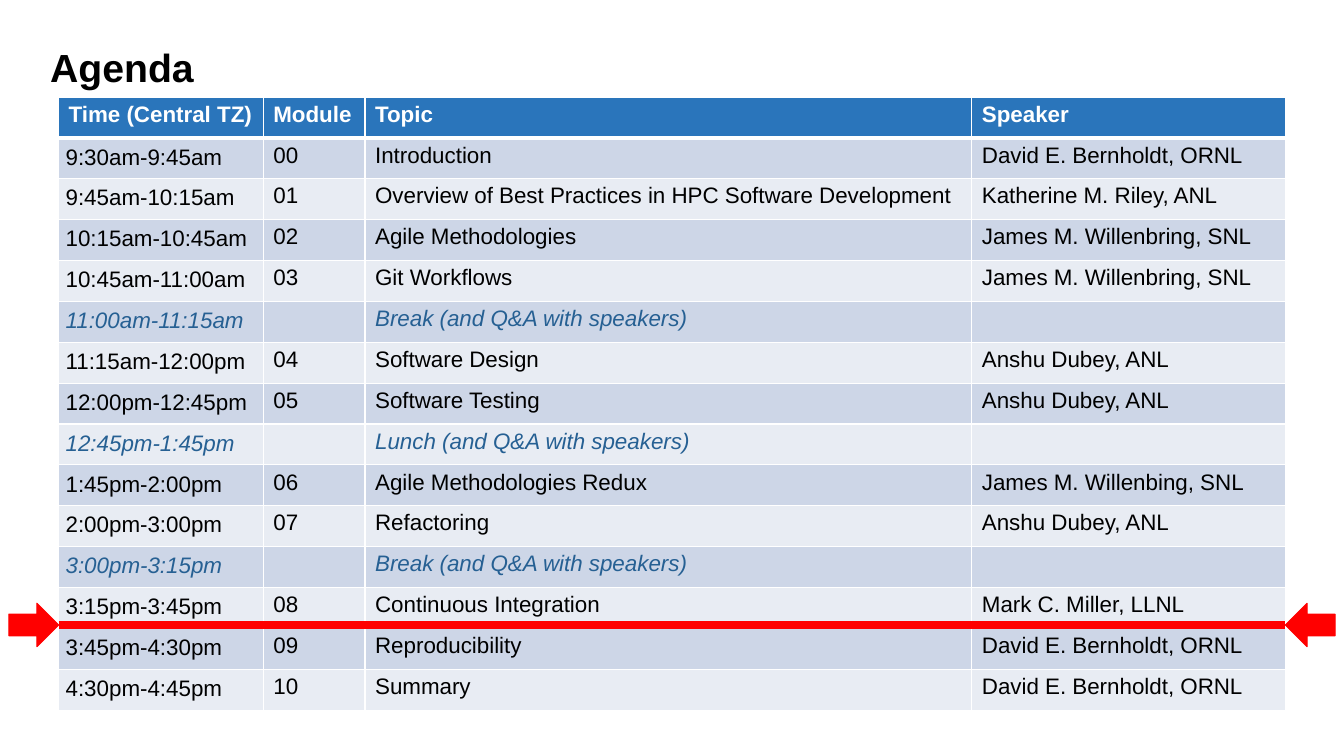
from lxml import etree
from pptx import Presentation
from pptx.dml.color import RGBColor
from pptx.enum.shapes import MSO_CONNECTOR, MSO_SHAPE
from pptx.oxml.ns import qn
from pptx.util import Pt

BLACK = RGBColor(0x00, 0x00, 0x00)
WHITE = RGBColor(0xFF, 0xFF, 0xFF)
HEADER_BLUE = RGBColor(0x2A, 0x75, 0xBB)
BREAK_BLUE = RGBColor(0x26, 0x60, 0x93)
DARK_BAND = RGBColor(0xCD, 0xD6, 0xE7)
LIGHT_BAND = RGBColor(0xE8, 0xEC, 0xF3)
RED = RGBColor(0xFF, 0x00, 0x00)

HEADINGS = ("Time (Central TZ)", "Module", "Topic", "Speaker")
SESSIONS = [
    ("9:30am-9:45am", "00", "Introduction", "David E. Bernholdt, ORNL"),
    ("9:45am-10:15am", "01", "Overview of Best Practices in HPC Software Development",
     "Katherine M. Riley, ANL"),
    ("10:15am-10:45am", "02", "Agile Methodologies", "James M. Willenbring, SNL"),
    ("10:45am-11:00am", "03", "Git Workflows", "James M. Willenbring, SNL"),
    ("11:00am-11:15am", "", "Break (and Q&A with speakers)", ""),
    ("11:15am-12:00pm", "04", "Software Design", "Anshu Dubey, ANL"),
    ("12:00pm-12:45pm", "05", "Software Testing", "Anshu Dubey, ANL"),
    ("12:45pm-1:45pm", "", "Lunch (and Q&A with speakers)", ""),
    ("1:45pm-2:00pm", "06", "Agile Methodologies Redux", "James M. Willenbing, SNL"),
    ("2:00pm-3:00pm", "07", "Refactoring", "Anshu Dubey, ANL"),
    ("3:00pm-3:15pm", "", "Break (and Q&A with speakers)", ""),
    ("3:15pm-3:45pm", "08", "Continuous Integration", "Mark C. Miller, LLNL"),
    ("3:45pm-4:30pm", "09", "Reproducibility", "David E. Bernholdt, ORNL"),
    ("4:30pm-4:45pm", "10", "Summary", "David E. Bernholdt, ORNL"),
]
COLUMN_WIDTHS = (146.16, 72.72, 433.44, 223.92)
ROW_HEIGHT = 29.18
TABLE_LEFT, TABLE_TOP = 41.9, 69.3
TABLE_WIDTH = sum(COLUMN_WIDTHS)
TABLE_RIGHT = TABLE_LEFT + TABLE_WIDTH


def add_run(paragraph, text, size, color, bold=False, italic=False):
    run = paragraph.add_run()
    run.text = text
    font = run.font
    font.name, font.size, font.bold, font.italic = "Arial", Pt(size), bold, italic
    font.color.rgb = color


def set_borders(cell, top, bottom):
    """Give the cell white borders; top and bottom are widths in points."""
    properties = cell._tc.get_or_add_tcPr()
    for position, (side, width) in enumerate(
            (("lnL", 1), ("lnR", 1), ("lnT", top), ("lnB", bottom))):
        border = etree.Element(qn(f"a:{side}"), w=str(Pt(width)))
        fill = etree.SubElement(border, qn("a:solidFill"))
        etree.SubElement(fill, qn("a:srgbClr"), val=str(WHITE))
        properties.insert(position, border)


deck = Presentation()
deck.slide_width, deck.slide_height = Pt(960), Pt(540)
slide = deck.slides.add_slide(deck.slide_layouts[6])

title = slide.shapes.add_textbox(Pt(28.8), Pt(32.4), Pt(895.7), Pt(72)).text_frame
title.word_wrap = True
title.paragraphs[0].line_spacing = 0.85
add_run(title.paragraphs[0], "Agenda", 28, BLACK, bold=True)

rows = [HEADINGS, *SESSIONS]
agenda = slide.shapes.add_table(
    len(rows), len(HEADINGS), Pt(TABLE_LEFT), Pt(TABLE_TOP),
    Pt(TABLE_WIDTH), Pt(ROW_HEIGHT * len(rows))).table
for column, width in zip(agenda.columns, COLUMN_WIDTHS):
    column.width = Pt(width)

for row_index, row in enumerate(rows):
    agenda.rows[row_index].height = Pt(ROW_HEIGHT)
    is_header = row_index == 0
    is_break = not row[1]
    if is_header:
        band, color = HEADER_BLUE, WHITE
    else:
        band = DARK_BAND if row_index % 2 else LIGHT_BAND
        color = BREAK_BLUE if is_break else BLACK
    for column_index, text in enumerate(row):
        cell = agenda.cell(row_index, column_index)
        cell.fill.solid()
        cell.fill.fore_color.rgb = band
        set_borders(cell, top=3 if row_index == 1 else 1, bottom=3 if is_header else 1)
        if column_index == 0 and not is_header:
            cell.margin_left = cell.margin_right = Pt(5)
            cell.margin_top = cell.margin_bottom = Pt(5)
        if text:
            add_run(cell.text_frame.paragraphs[0], text, 16, color,
                    bold=is_header, italic=is_break)

marker = slide.shapes.add_group_shape().shapes
MARKER_Y = 446.4
ARROW_WIDTH, ARROW_HEIGHT = 35.5, 31
marker_line = marker.add_connector(
    MSO_CONNECTOR.STRAIGHT, Pt(TABLE_LEFT), Pt(MARKER_Y), Pt(TABLE_RIGHT), Pt(MARKER_Y))
marker_line.line.color.rgb = RED
marker_line.line.width = Pt(6)
etree.SubElement(marker_line._element.spPr, qn("a:effectLst"))

for left, rotation in ((TABLE_LEFT - ARROW_WIDTH, 0), (TABLE_RIGHT, 180)):
    arrow = marker.add_shape(
        MSO_SHAPE.RIGHT_ARROW, Pt(left), Pt(MARKER_Y - ARROW_HEIGHT / 2),
        Pt(ARROW_WIDTH), Pt(ARROW_HEIGHT))
    arrow.rotation = rotation
    arrow.shadow.inherit = False
    arrow.fill.solid()
    arrow.fill.fore_color.rgb = RED
    arrow.line.color.rgb = RED
    arrow.line.width = Pt(0.75)

deck.save("out.pptx")
